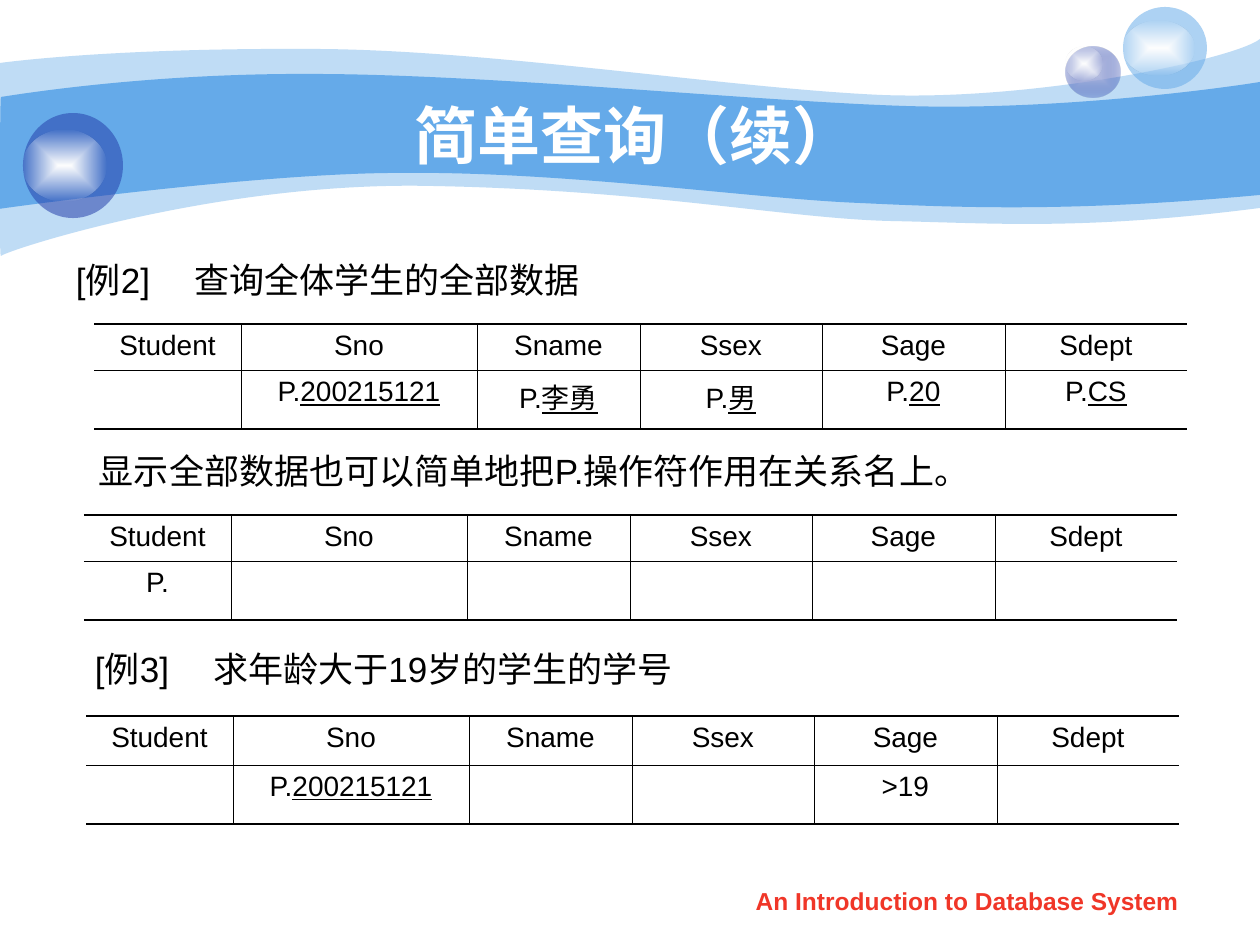
from dataclasses import dataclass
from typing import NamedTuple

from lxml import etree
from pptx import Presentation
from pptx.dml.color import RGBColor
from pptx.enum.shapes import MSO_SHAPE
from pptx.enum.text import MSO_ANCHOR, MSO_AUTO_SIZE, PP_ALIGN
from pptx.oxml import parse_xml
from pptx.oxml.ns import nsdecls, qn
from pptx.util import Emu, Pt

OVAL = MSO_SHAPE.OVAL
CENTER, JUSTIFY = PP_ALIGN.CENTER, PP_ALIGN.JUSTIFY
TOP, MIDDLE = MSO_ANCHOR.TOP, MSO_ANCHOR.MIDDLE
PX_PER_INCH = 126


@dataclass(frozen=True)
class Theme:
    font: str = "Arial"
    sky: str = "65AAE9"
    navy: str = "233DA9"
    lilac: str = "C6CCE8"
    glow: str = "FFFFFF"
    glow_edge: str = "FEFEFE"
    ink: str = "000000"
    footer: str = "F03628"
    title_size: int = 36
    body_size: int = 20
    cell_size: int = 16
    footer_size: int = 14
    thick: float = 1.08
    thin: float = 0.45


THEME = Theme()


class Box(NamedTuple):
    left: int
    top: int
    width: int
    height: int


class Stop(NamedTuple):
    color: str
    alpha: int = 100


class Wave(NamedTuple):
    """A start point, then groups of one point (line) or three (Bézier curve)."""
    start: tuple
    segments: tuple
    alpha: int


class Ball(NamedTuple):
    box: Box
    stops: tuple  # one stop is a plain fill, two run from centre to edge


class Line(NamedTuple):
    box: Box
    text: str
    inset: int = 13
    tab: int = 0
    size: int = THEME.body_size
    color: str = THEME.ink
    bold: bool = False
    align: PP_ALIGN = JUSTIFY


class Query(NamedTuple):
    left: int
    top: int
    row_heights: tuple
    entries: dict  # column name -> (plain text, underlined text)


COLUMNS = {"Student": 147, "Sno": 236, "Sname": 163, "Ssex": 182, "Sage": 183, "Sdept": 182}

WAVES = (
    Wave((0, 63), (
        ((30, 59), (135, 48), (311, 49)), ((486, 49), (725, 88), (881, 95)),
        ((1036, 101), (1235, 59), (1260, 39)), ((1260, 208),),
        ((1081, 231), (992, 223), (888, 221)), ((784, 218), (649, 190), (432, 186)),
        ((217, 181), (5, 251), (1, 256)), ((-1, 262), (0, 95), (0, 63))), 41),
    Wave((1, 97), (
        ((3, 97), (139, 73), (312, 74)), ((486, 74), (750, 101), (905, 106)),
        ((1060, 111), (1230, 87), (1260, 82)), ((1260, 195),),
        ((1075, 212), (964, 208), (859, 203)), ((755, 199), (563, 171), (399, 173)),
        ((256, 173), (-3, 209), (-1, 209)), ((0, 209), (0, 97), (1, 97))), 100),
)
GLOW = (Stop(THEME.glow), Stop(THEME.glow_edge, 0))
BALLS = (
    Ball(Box(1066, 47, 54, 51), (Stop(THEME.lilac), Stop(THEME.navy, 31))),
    Ball(Box(1066, 47, 36, 34), GLOW),
    Ball(Box(1123, 7, 84, 82), (Stop(THEME.sky, 53),)),
    Ball(Box(1123, 21, 71, 54), GLOW),
    Ball(Box(23, 113, 100, 105), (Stop(THEME.navy, 53),)),
    Ball(Box(23, 130, 83, 71), GLOW),
)
LINES = (
    Line(Box(63, 252, 1013, 82), "[例2]\t查询全体学生的全部数据", tab=118),
    Line(Box(63, 443, 1133, 62), "显示全部数据也可以简单地把P.操作符作用在关系名上。", inset=36),
    Line(Box(64, 641, 1092, 72), "[例3]\t求年龄大于19岁的学生的学号", inset=31, tab=118),
    Line(Box(719, 880, 496, 44), "An Introduction to Database System",
         size=THEME.footer_size, color=THEME.footer, bold=True, align=CENTER),
)
QUERIES = (
    Query(94, 324, (46, 59), {
        "Sno": ("P.", "200215121"), "Sname": ("P.", "李勇"), "Ssex": ("P.", "男"),
        "Sage": ("P.", "20"), "Sdept": ("P.", "CS")}),
    Query(84, 515, (46, 59), {"Student": ("P.", "")}),
    Query(86, 716, (49, 59), {"Sno": ("P.", "200215121"), "Sage": (">19", "")}),
)


def px(value: float) -> Emu:
    return Emu(round(value * 914400 / PX_PER_INCH))


def place(box: Box) -> tuple:
    return tuple(px(value) for value in box)


def add_span(para, text: str, size: int, color: str = THEME.ink, **extra) -> None:
    span = para.add_run()
    span.text = text
    for name, value in {"name": THEME.font, "size": Pt(size), **extra}.items():
        setattr(span.font, name, value)
    span.font.color.rgb = RGBColor.from_string(color)


def paint(shape, stops: tuple) -> None:
    """Fill a shape with one colour or a rectangular gradient, without line or shadow."""
    shape.shadow.inherit = False
    shape.line.fill.background()
    colors = [f'<a:srgbClr val="{stop.color}"><a:alpha val="{stop.alpha * 1000}"/></a:srgbClr>'
              for stop in stops]
    if len(colors) == 1:
        fill = f'<a:solidFill {nsdecls("a")}>{colors[0]}</a:solidFill>'
    else:
        marks = "".join(f'<a:gs pos="{index * 100000}">{color}</a:gs>'
                        for index, color in enumerate(colors))
        fill = (f'<a:gradFill {nsdecls("a")} rotWithShape="1"><a:gsLst>{marks}</a:gsLst>'
                '<a:path path="rect"><a:fillToRect l="50000" t="50000" r="50000" b="50000"/>'
                '</a:path></a:gradFill>')
    shape.fill.background()
    properties = shape.element.spPr
    properties.replace(properties.find(qn("a:noFill")), parse_xml(fill))


def draw_wave(page, wave: Wave) -> None:
    """Outline the control points, then join each group of three into one curve."""
    points = [(px(x), px(y)) for segment in wave.segments for x, y in segment]
    builder = page.shapes.build_freeform(*(px(value) for value in wave.start))
    builder.add_line_segments(points, close=True)
    shape = builder.convert_to_shape()
    steps = iter(list(shape.element.iter(qn("a:lnTo"))))
    for segment in wave.segments:
        first, *others = [next(steps) for _ in segment]
        if others:
            first.tag = qn("a:cubicBezTo")
            for step in others:
                first.append(step[0])
                step.getparent().remove(step)
    paint(shape, (Stop(THEME.sky, wave.alpha),))


def draw_line(page, line: Line) -> None:
    frame = page.shapes.add_textbox(*place(line.box)).text_frame
    for name, value in {"word_wrap": True, "margin_left": px(line.inset),
                        "vertical_anchor": TOP}.items():
        setattr(frame, name, value)
    para = frame.paragraphs[0]
    para.alignment = line.align
    if line.tab:
        tabs = etree.SubElement(para._p.get_or_add_pPr(), qn("a:tabLst"))
        etree.SubElement(tabs, qn("a:tab"), pos=str(px(line.tab)), algn="l")
    add_span(para, line.text, line.size, line.color, bold=line.bold)


def set_borders(cell, widths: dict) -> None:
    """Draw the sides given in points; a width of zero hides the side."""
    properties = cell._tc.get_or_add_tcPr()
    for index, (side, width) in enumerate(widths.items()):
        fill = (f'<a:solidFill><a:srgbClr val="{THEME.ink}"/></a:solidFill>'
                if width else "<a:noFill/>")
        properties.insert(index, parse_xml(
            f'<a:ln{side} {nsdecls("a")} w="{Pt(width)}">{fill}</a:ln{side}>'))


def draw_query(page, query: Query) -> None:
    box = Box(query.left, query.top, sum(COLUMNS.values()), sum(query.row_heights))
    table = page.shapes.add_table(2, len(COLUMNS), *place(box)).table
    table.first_row = table.horz_banding = False
    for row, height in zip(table.rows, query.row_heights):
        row.height = px(height)
    for index, (name, width) in enumerate(COLUMNS.items()):
        table.columns[index].width = px(width)
        for row, texts in enumerate(((name, ""), query.entries.get(name, ("", "")))):
            cell = table.cell(row, index)
            cell.fill.background()
            set_borders(cell, {
                "L": THEME.thin if index else 0,
                "R": THEME.thin if index < len(COLUMNS) - 1 else 0,
                "T": THEME.thin if row else THEME.thick,
                "B": THEME.thick if row else THEME.thin})
            para = cell.text_frame.paragraphs[0]
            para.alignment = CENTER
            for text, underline in zip(texts, (False, True)):
                if text:
                    add_span(para, text, THEME.cell_size, underline=underline)


def draw_title(page, text: str) -> None:
    title = page.shapes.title
    page.shapes.element.append(title.element)  # in front of the waves
    title.left, title.top, title.width, title.height = place(Box(126, 95, 1018, 78))
    frame = title.text_frame
    frame.auto_size, frame.vertical_anchor = MSO_AUTO_SIZE.NONE, MIDDLE
    frame.paragraphs[0].alignment = CENTER
    add_span(frame.paragraphs[0], text, THEME.title_size, THEME.glow, bold=True)


def main() -> None:
    deck = Presentation()
    deck.slide_width, deck.slide_height = px(1260), px(945)
    page = deck.slides.add_slide(deck.slide_layouts[5])
    for wave in WAVES:
        draw_wave(page, wave)
    for ball in BALLS:
        paint(page.shapes.add_shape(OVAL, *place(ball.box)), ball.stops)
    draw_title(page, "简单查询（续）")
    for line in LINES:
        draw_line(page, line)
    for query in QUERIES:
        draw_query(page, query)
    deck.save("out.pptx")


if __name__ == "__main__":
    main()
